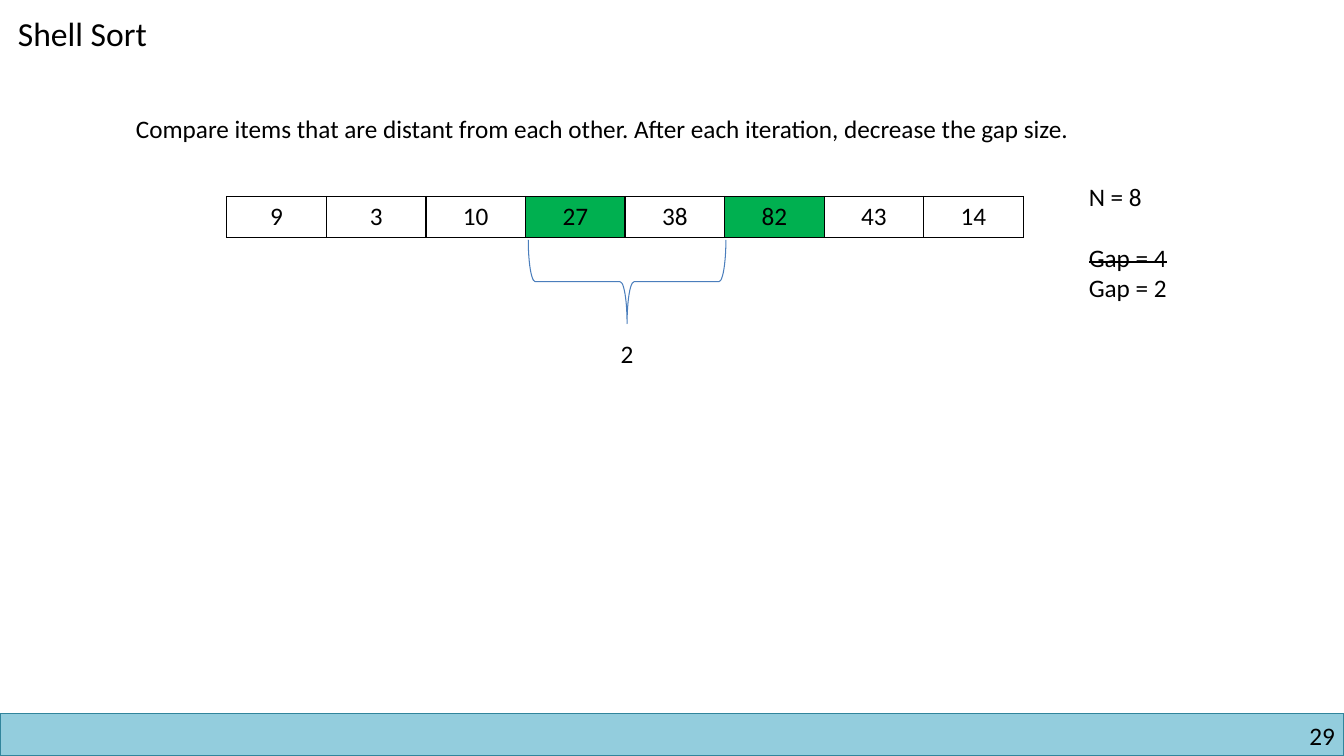
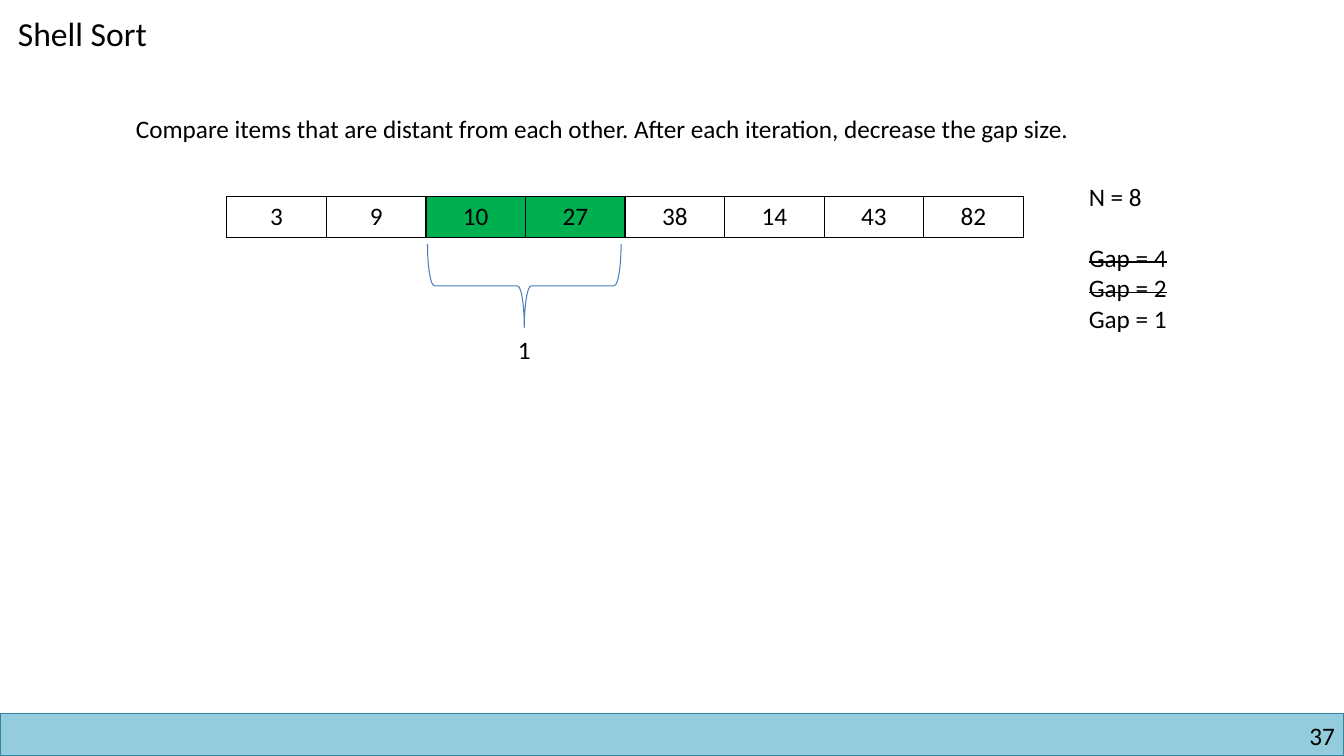
from lxml import etree
from pptx import Presentation
from pptx.dml.color import RGBColor
from pptx.enum.shapes import MSO_SHAPE
from pptx.enum.text import PP_ALIGN
from pptx.oxml.ns import qn
from pptx.util import Inches, Pt

RECTANGLE, LEFT_BRACE = MSO_SHAPE.RECTANGLE, MSO_SHAPE.LEFT_BRACE
LEFT, CENTER, RIGHT = PP_ALIGN.LEFT, PP_ALIGN.CENTER, PP_ALIGN.RIGHT

BLACK = RGBColor(0x00, 0x00, 0x00)
WHITE = RGBColor(0xFF, 0xFF, 0xFF)
GREEN = RGBColor(0x00, 0xB0, 0x50)
BAND_FILL = RGBColor(0x93, 0xCD, 0xDD)
BAND_LINE = RGBColor(0x31, 0x85, 0x9C)
BRACE_LINE = RGBColor(0x4B, 0x7E, 0xBC)

BODY = {"name": "Calibri", "size": Pt(18)}
TITLE = {**BODY, "size": Pt(24)}
LINE_HEIGHT = Pt(22)

SLIDE_W, SLIDE_H = 13.33, 7.5
BAND_H = 0.42
TITLE_BOX = (0.08, 0.08, 1.66, 0.5)
RULE_BOX = (1.25, 1.08, 10.36, 0.4)
ARRAY_BOX = (2.25, 1.95, 7.9, 0.41)
GAPS_BOX = (10.7, 1.75, 1.11, 1.31)
BRACE_H = 0.83

# Braces are (left, top, width)
STEPS = [
    {"number": 29, "values": [9, 3, 10, 27, 38, 82, 43, 14], "compared": (3, 5),
     "gaps": [4, 2], "brace": (5.24, 2.38, 1.96), "label_top": 3.31},
    {"number": 37, "values": [3, 9, 10, 27, 38, 14, 43, 82], "compared": (2, 3),
     "gaps": [4, 2, 1], "brace": (4.24, 2.42, 1.92), "label_top": 3.27},
]


def inches(box):
    return [Inches(v) for v in box]


def write(p, text, style=BODY, align=LEFT):
    p.alignment = align
    r = p.add_run()
    r.text = str(text)
    for name, value in style.items():
        setattr(r.font, name, value)
    r.font.color.rgb = BLACK
    return r


def add_text(s, box, text, style=BODY, align=LEFT, inset=None):
    tf = s.shapes.add_textbox(*inches(box)).text_frame
    tf.word_wrap = True
    if inset is not None:
        for side in ("left", "top", "right", "bottom"):
            setattr(tf, f"margin_{side}", Inches(inset))
    write(tf.paragraphs[0], text, style, align)
    return tf


def add_outline(s, kind, box, color, width):
    sp = s.shapes.add_shape(kind, *inches(box))
    sp.shadow.inherit = False
    sp.fill.background()
    sp.line.color.rgb = color
    sp.line.width = Pt(width)
    return sp


def add_border(cell):
    tcPr = cell._tc.get_or_add_tcPr()
    for side in ("lnL", "lnR", "lnT", "lnB"):
        ln = etree.SubElement(tcPr, qn(f"a:{side}"), w=str(Pt(1)))
        fill = etree.SubElement(ln, qn("a:solidFill"))
        etree.SubElement(fill, qn("a:srgbClr"), val=str(BLACK))


def add_frame(s, number):
    # Footer band with page number, title and rule of the method
    top = SLIDE_H - BAND_H
    band = add_outline(s, RECTANGLE, (0, top, SLIDE_W, BAND_H), BAND_LINE, 1)
    band.fill.solid()
    band.fill.fore_color.rgb = BAND_FILL
    add_text(s, (10.17, top + 0.07, 3.07, 0.3), number, align=RIGHT, inset=0)
    add_text(s, TITLE_BOX, "Shell Sort", TITLE)
    add_text(s, RULE_BOX, "Compare items that are distant from each other. "
             "After each iteration, decrease the gap size.")


def add_array(s, box, values, compared):
    # One row of equal cells, the compared pair in green
    table = s.shapes.add_table(1, len(values), *inches(box)).table
    for i, value in enumerate(values):
        table.columns[i].width = Inches(box[2] / len(values))
        cell = table.cell(0, i)
        add_border(cell)
        cell.fill.solid()
        cell.fill.fore_color.rgb = GREEN if i in compared else WHITE
        write(cell.text_frame.paragraphs[0], value, align=CENTER)


def add_gaps(s, box, count, gaps):
    # Item count, then the gap sizes with the finished ones struck out
    tf = add_text(s, box, f"N = {count}")
    for i, gap in enumerate(gaps):
        p = tf.add_paragraph()
        if i == 0:
            p.space_before = LINE_HEIGHT
        r = write(p, f"Gap = {gap}")
        if gap != gaps[-1]:
            r._r.get_or_add_rPr().set("strike", "sngStrike")


def add_brace(s, box, gap, label_top):
    # A left brace turned to point down, with the gap size below it
    left, top, width = box
    shift = (width - BRACE_H) / 2
    sp = add_outline(s, LEFT_BRACE, (left + shift, top - shift, BRACE_H, width),
                     BRACE_LINE, 0.75)
    sp.rotation = 270
    add_text(s, (left, label_top, width, 0.4), gap, align=CENTER)


def add_step(prs, step):
    s = prs.slides.add_slide(prs.slide_layouts[6])
    add_frame(s, step["number"])
    add_array(s, ARRAY_BOX, step["values"], step["compared"])
    add_gaps(s, GAPS_BOX, len(step["values"]), step["gaps"])
    add_brace(s, step["brace"], step["gaps"][-1], step["label_top"])


def main():
    prs = Presentation()
    prs.slide_width, prs.slide_height = Inches(SLIDE_W), Inches(SLIDE_H)
    for step in STEPS:
        add_step(prs, step)
    prs.save("out.pptx")


if __name__ == "__main__":
    main()
